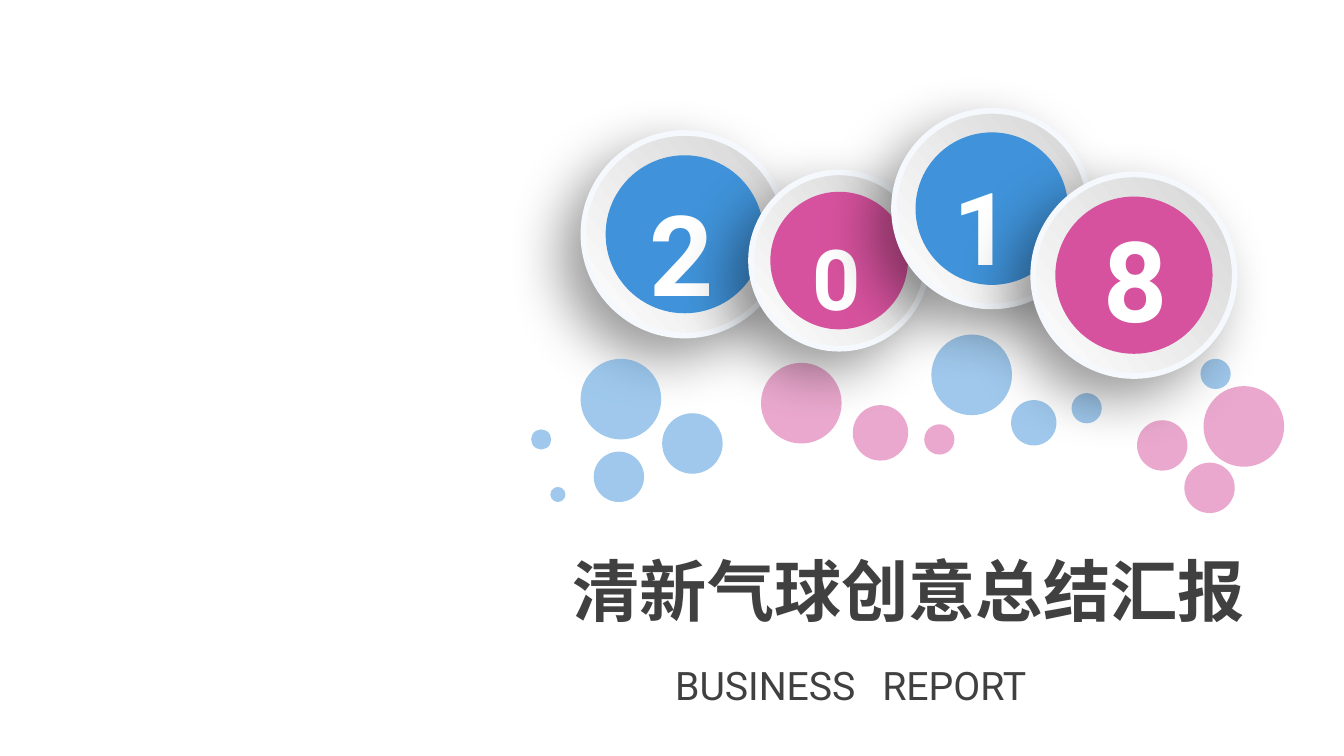
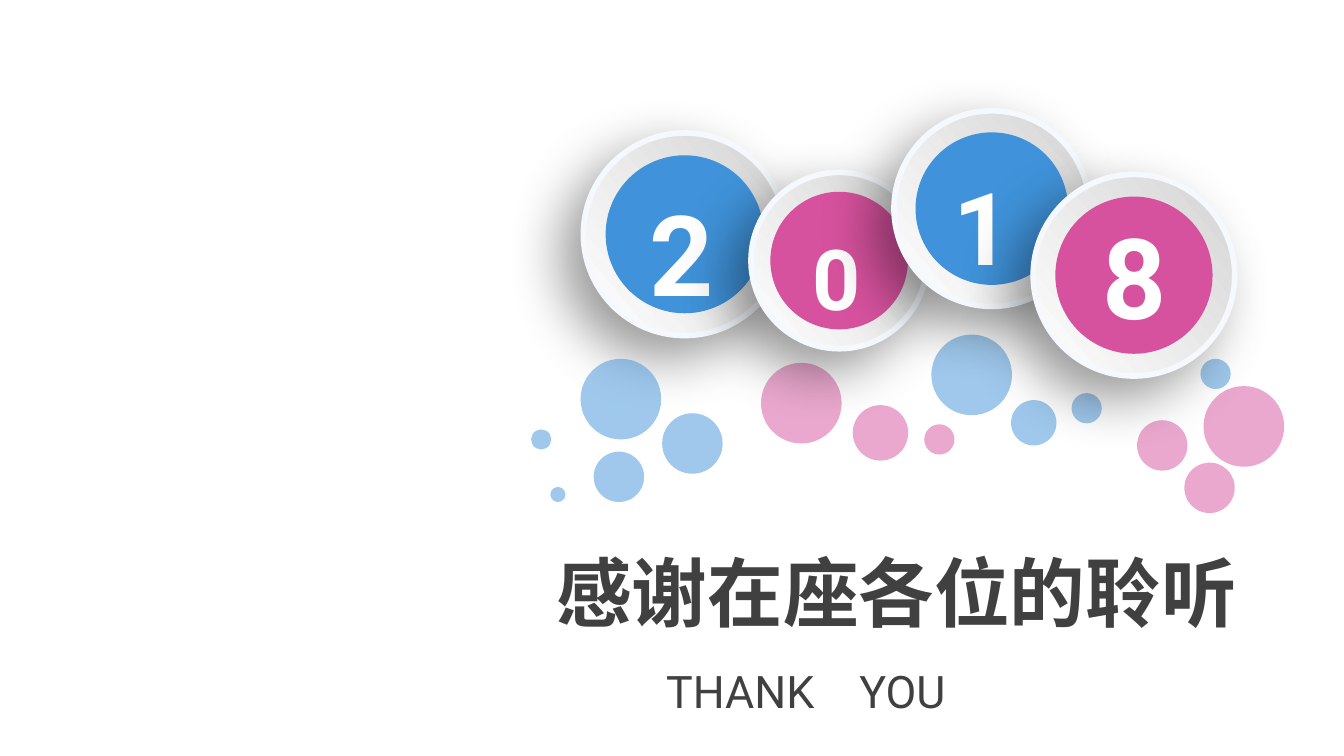
"""Build the opening and closing slides of a balloon-themed report."""
from dataclasses import dataclass

from lxml.etree import SubElement
from pptx import Presentation
from pptx.dml.color import RGBColor
from pptx.enum.shapes import MSO_SHAPE
from pptx.enum.text import MSO_AUTO_SIZE, PP_ALIGN
from pptx.oxml.ns import qn
from pptx.util import Pt


@dataclass(frozen=True)
class Theme:
    blue: str = "4093DA"
    pink: str = "D7529E"
    white: str = "FFFFFF"
    grey: str = "D4D4D4"
    rim: str = "F5F9FD"
    shade: str = "000000"
    ink: str = "404040"
    latin: str = "Roboto"
    asian: str = "Noto Sans CJK SC"
    rim_size: float = 4
    core: float = 0.78
    alpha: int = 50
    huge: int = 80
    large: int = 72
    mid: int = 60


@dataclass(frozen=True)
class Box:
    left: float
    top: float
    width: float
    height: float


@dataclass(frozen=True)
class Label:
    text: str
    box: Box
    size: int
    font: str
    color: str
    bold: bool = False
    align: PP_ALIGN = PP_ALIGN.LEFT
    tab: float = 0


@dataclass(frozen=True)
class Disc:
    left: float
    top: float
    size: float
    color: str
    digit: Label


@dataclass(frozen=True)
class Bubble:
    left: float
    top: float
    size: float
    color: str


@dataclass(frozen=True)
class Page:
    title: Label
    sub: Label
    last: Box


T = Theme()


def digit(text: str, box: Box, size: int) -> Label:
    return Label(text, box, size, T.latin, T.white, True)


def title(text: str, box: Box, size: int) -> Label:
    return Label(text, box, size, T.asian, T.ink, True, PP_ALIGN.CENTER)


def sub(text: str, box: Box, size: int, tab: float) -> Label:
    return Label(text, box, size, T.latin, T.ink, tab=tab)


DISCS = (
    Disc(416.7, 95, 144.7, T.blue, digit("2", Box(457.2, 128.2, 61.2, 104.4), T.huge)),
    Disc(536.4, 123.1, 126, T.pink, digit("0", Box(573.1, 158.4, 49.7, 80), T.mid)),
    Disc(638.6, 79.2, 139.7, T.blue, digit("1", Box(673.9, 113.8, 56.2, 94.3), T.large)),
)

BUBBLES = (
    Bubble(665.3, 239, 57.6, T.blue),
    Bubble(859.7, 275.8, 57.6, T.pink),
    Bubble(414.7, 256.3, 57.6, T.blue),
    Bubble(543.6, 259.2, 57.6, T.pink),
    Bubble(609.1, 289.4, 39.6, T.pink),
    Bubble(812.2, 300.2, 36, T.pink),
    Bubble(846, 330.5, 36, T.pink),
    Bubble(424.1, 322.6, 36, T.blue),
    Bubble(473, 295.2, 43.2, T.blue),
    Bubble(722.2, 285.8, 32.4, T.blue),
    Bubble(765.4, 280.8, 21.6, T.blue),
    Bubble(660.2, 303.1, 21.6, T.pink),
    Bubble(857.5, 256.3, 21.6, T.blue),
    Bubble(379.4, 306.7, 14.4, T.blue),
    Bubble(393.1, 347.8, 10.8, T.blue),
)

PAGES = (
    Page(
        title("清新气球创意总结汇报", Box(398.2, 388.8, 501.8, 65.5), 48),
        sub("BUSINESS\tREPORT", Box(475.2, 468.7, 347.8, 41), 28, 148),
        Box(781.2, 146.9, 58.3, 104.4),
    ),
    Page(
        title("感谢在座各位的聆听", Box(386.6, 386.6, 507.6, 72.7), 54),
        sub("THANK\tYOU", Box(468.7, 470.9, 296.6, 46.1), 32, 138),
        Box(780.5, 144.7, 58.3, 104.4),
    ),
)


def rgb(color: str) -> RGBColor:
    return RGBColor.from_string(color)


def add_ball(shapes, left: float, top: float, size: float, color: str):
    ball = shapes.add_shape(MSO_SHAPE.OVAL, Pt(left), Pt(top), Pt(size), Pt(size))
    ball.shadow.inherit = False
    ball.fill.solid()
    ball.fill.fore_color.rgb = rgb(color)
    ball.line.fill.background()
    return ball


def fade(ball, alpha: int) -> None:
    tint = next(ball.element.iter(qn("a:srgbClr")))
    SubElement(tint, qn("a:alpha"), val=str(alpha * 1000))


def add_shade(ball) -> None:
    effects = next(ball.element.iter(qn("a:effectLst")))
    shade = SubElement(
        effects, qn("a:outerShdw"), blurRad=str(Pt(40)), dist=str(Pt(20)),
        dir=str(135 * 60000), algn="tr", rotWithShape="0",
    )
    tint = SubElement(shade, qn("a:srgbClr"), val=T.shade)
    SubElement(tint, qn("a:alpha"), val="40000")


def add_label(shapes, label: Label) -> None:
    box = label.box
    frame = shapes.add_textbox(
        Pt(box.left), Pt(box.top), Pt(box.width), Pt(box.height)
    ).text_frame
    frame.word_wrap = bool(label.tab)
    frame.auto_size = MSO_AUTO_SIZE.SHAPE_TO_FIT_TEXT
    frame.text = label.text
    para = frame.paragraphs[0]
    para.alignment = label.align
    if label.tab:
        tabs = SubElement(para._p.get_or_add_pPr(), qn("a:tabLst"))
        SubElement(tabs, qn("a:tab"), pos=str(Pt(label.tab)), algn="l")
    for run in para.runs:
        font = run.font
        font.name = label.font
        font.size = Pt(label.size)
        font.bold = label.bold
        font.color.rgb = rgb(label.color)
        SubElement(run._r.get_or_add_rPr(), qn("a:ea"), typeface=label.font)


def add_disc(slide, disc: Disc) -> None:
    shapes = slide.shapes.add_group_shape().shapes
    rim = add_ball(shapes, disc.left, disc.top, disc.size, T.white)
    rim.fill.gradient()
    rim.fill.gradient_angle = 40
    for stop, color in zip(rim.fill.gradient_stops, (T.white, T.grey)):
        stop.color.rgb = rgb(color)
    rim.line.color.rgb = rgb(T.rim)
    rim.line.width = Pt(T.rim_size)
    add_shade(rim)
    inset = disc.size * (1 - T.core) / 2
    add_ball(shapes, disc.left + inset, disc.top + inset, disc.size * T.core, disc.color)
    add_label(shapes, disc.digit)


def add_page(deck, page: Page) -> None:
    slide = deck.slides.add_slide(deck.slide_layouts[6])
    first, *rest = DISCS
    add_disc(slide, first)
    for dot in BUBBLES:
        fade(add_ball(slide.shapes, dot.left, dot.top, dot.size, dot.color), T.alpha)
    last = Disc(738, 124.6, 144, T.pink, digit("8", page.last, T.huge))
    for disc in (*rest, last):
        add_disc(slide, disc)
    for label in (page.title, page.sub):
        add_label(slide.shapes, label)


def main() -> None:
    deck = Presentation()
    deck.slide_width, deck.slide_height = Pt(960), Pt(540)
    for page in PAGES:
        add_page(deck, page)
    deck.save("out.pptx")


if __name__ == "__main__":
    main()
